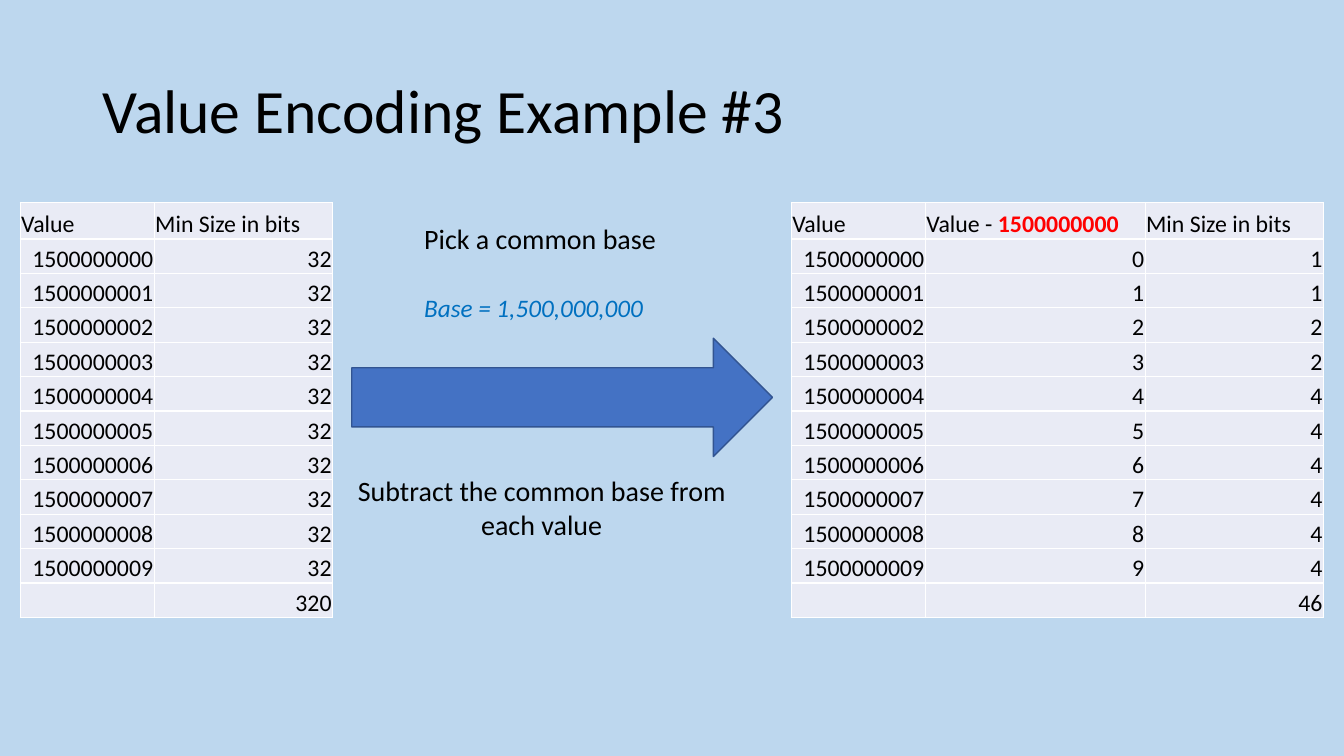
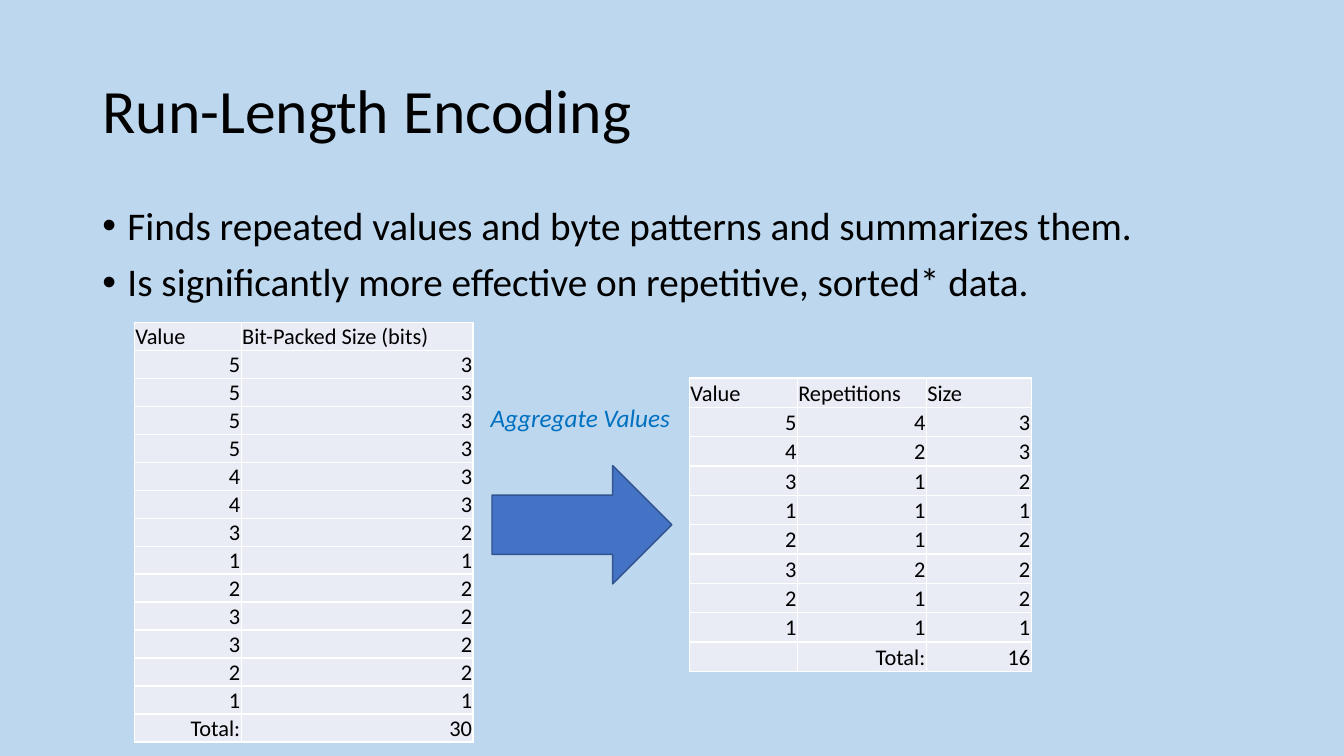
from lxml import etree
from pptx import Presentation
from pptx.dml.color import RGBColor
from pptx.enum.shapes import MSO_SHAPE
from pptx.enum.text import MSO_ANCHOR, MSO_AUTO_SIZE, PP_ALIGN
from pptx.oxml.ns import qn
from pptx.util import Pt

RIGHT_ARROW = MSO_SHAPE.RIGHT_ARROW
MIDDLE, BOTTOM = MSO_ANCHOR.MIDDLE, MSO_ANCHOR.BOTTOM
LEFT, CENTER, RIGHT = PP_ALIGN.LEFT, PP_ALIGN.CENTER, PP_ALIGN.RIGHT
FIT_SHAPE = MSO_AUTO_SIZE.SHAPE_TO_FIT_TEXT
TITLE_ONLY = 5

FONT = "Calibri"
COLORS = {
    "background": "BDD7EE",
    "text": "000000",
    "base": "FF0000",
    "note": "0070C0",
    "arrow": "4472C4",
    "arrow_line": "325491",
    "cell": "E9EBF5",
    "border": "FFFFFF",
}
TITLE_BOX = (66, 28.8, 828, 104.4)
BITS_HEADING = "Min Size in bits"


def rgb(name):
    return RGBColor.from_string(COLORS[name])


def points(box):
    return [Pt(length) for length in box]


def add_span(para, text, size, color="text", bold=False, italic=False):
    span = para.add_run()
    span.text = text
    font = span.font
    font.name, font.size = FONT, Pt(size)
    font.bold, font.italic = bold, italic
    font.color.rgb = rgb(color)


def add_page(deck, title):
    page = deck.slides.add_slide(deck.slide_layouts[TITLE_ONLY])
    holder = page.shapes.title
    holder.left, holder.top, holder.width, holder.height = points(TITLE_BOX)
    holder.text_frame.vertical_anchor = MIDDLE
    para = holder.text_frame.paragraphs[0]
    para.alignment, para.line_spacing = LEFT, 0.9
    add_span(para, title, 44)
    return page


def add_text(page, box, lines, size, align=LEFT, wrap=True, **style):
    frame = page.shapes.add_textbox(*points(box)).text_frame
    frame.word_wrap = wrap
    frame.auto_size = FIT_SHAPE
    for index, line in enumerate(lines):
        para = frame.add_paragraph() if index else frame.paragraphs[0]
        para.alignment = align
        add_span(para, line, size, **style)
    return frame


def add_note(page, box, text):
    add_text(page, box, [text], 18, wrap=False, color="note", italic=True)


def add_bullets(page, box, lines):
    frame = add_text(page, box, lines, 28)
    for para in frame.paragraphs:
        para.line_spacing, para.space_before = 0.9, Pt(10)
        props = para._p.get_or_add_pPr()
        props.set("marL", str(Pt(18)))
        props.set("indent", str(-Pt(18)))
        etree.SubElement(props, qn("a:buFont"), typeface="Arial")
        etree.SubElement(props, qn("a:buChar"), char="•")


def add_arrow(page, box):
    arrow = page.shapes.add_shape(RIGHT_ARROW, *points(box))
    arrow.shadow.inherit = False
    arrow.fill.solid()
    arrow.fill.fore_color.rgb = rgb("arrow")
    arrow.line.color.rgb = rgb("arrow_line")
    arrow.line.width = Pt(1)


def add_borders(cell):
    props = cell._tc.get_or_add_tcPr()
    for side in ("lnL", "lnR", "lnT", "lnB"):
        line = etree.SubElement(props, qn(f"a:{side}"), w=str(Pt(1)))
        fill = etree.SubElement(line, qn("a:solidFill"))
        etree.SubElement(fill, qn("a:srgbClr"), val=COLORS["border"])


def fill_cell(cell, spans, size, align):
    add_borders(cell)
    cell.fill.solid()
    cell.fill.fore_color.rgb = rgb("cell")
    cell.margin_left = cell.margin_right = cell.margin_top = Pt(0.72)
    cell.margin_bottom = 0
    cell.vertical_anchor = BOTTOM
    para = cell.text_frame.paragraphs[0]
    para.alignment = align
    for text, style in spans:
        add_span(para, text, size, **style)
    if not spans:
        etree.SubElement(para._p, qn("a:endParaRPr"), sz=str(size * 100))


def as_spans(value):
    if isinstance(value, list):
        return value
    return [(str(value), {})] if value != "" else []


def add_grid(page, place, widths, rows, size, row_height, header_height):
    height = header_height + row_height * (len(rows) - 1)
    box = (*place, sum(widths), height)
    table = page.shapes.add_table(len(rows), len(widths), *points(box)).table
    table.first_row = table.horz_banding = False
    for column, width in zip(table.columns, widths):
        column.width = Pt(width)
    for index, values in enumerate(rows):
        table.rows[index].height = Pt(row_height if index else header_height)
        align = RIGHT if index else LEFT
        for column, value in enumerate(values):
            fill_cell(table.cell(index, column), as_spans(value), size, align)


def build_value_encoding(deck):
    page = add_page(deck, "Value Encoding Example #3")
    base, packed_bits = 1500000000, [1, 1, 2, 2, 4, 4, 4, 4, 4, 4]
    plain = [("Value", BITS_HEADING)]
    plain += [(base + offset, 32) for offset in range(10)]
    plain += [("", 320)]
    difference = [("Value - ", {}), (str(base), {"color": "base", "bold": True})]
    encoded = [("Value", difference, BITS_HEADING)]
    encoded += [(base + offset, offset, bits) for offset, bits in enumerate(packed_bits)]
    encoded += [("", "", 46)]

    add_arrow(page, (251.3, 241.6, 300.5, 84.5))
    add_text(page, (295.9, 154.8, 190.8, 32.4), ["Pick a common base"], 20)
    add_text(page, (240.5, 334.8, 293, 57.6),
             ["Subtract the common base from", "each value"], 20, CENTER)
    add_grid(page, (565.2, 144.7), (95.8, 157, 127.4), encoded, 17, 24.6, 26)
    add_grid(page, (14.4, 144.7), (95.8, 127.4), plain, 17, 24.6, 26)
    add_note(page, (295.9, 205.2, 172.8, 28.8), "Base = 1,500,000,000")


def build_run_length(deck):
    page = add_page(deck, "Run-Length Encoding")
    bits = {1: 1, 2: 2, 3: 2, 4: 3, 5: 3}
    runs = [(5, 4), (4, 2), (3, 1), (1, 1), (2, 1), (3, 2), (2, 1), (1, 1)]
    values = [value for value, count in runs for _ in range(count)]
    packed = [("Value", "Bit-Packed Size (bits)")]
    packed += [(value, bits[value]) for value in values]
    packed += [("Total:", sum(bits[value] for value in values))]
    grouped = [("Value", "Repetitions", "Size")]
    grouped += [(value, count, bits[value]) for value, count in runs]
    grouped += [("", "Total:", sum(bits[value] for value, _ in runs))]

    add_bullets(page, (66, 144, 828, 342.7), [
        "Finds repeated values and byte patterns and summarizes them.",
        "Is significantly more effective on repetitive, sorted* data.",
    ])
    add_grid(page, (96, 230.2), (76.3, 165.6), packed, 16, 20, 20)
    add_grid(page, (492.5, 270), (77, 92.2, 74.9), grouped, 16, 20.95, 20.95)
    add_arrow(page, (351.4, 332.6, 128.5, 84.5))
    add_note(page, (343.4, 283.7, 144, 28.8), "Aggregate Values")


def main():
    deck = Presentation()
    deck.slide_width, deck.slide_height = Pt(960), Pt(540)
    background = deck.slide_master.background.fill
    background.solid()
    background.fore_color.rgb = rgb("background")
    build_value_encoding(deck)
    build_run_length(deck)
    deck.save("out.pptx")


if __name__ == "__main__":
    main()
